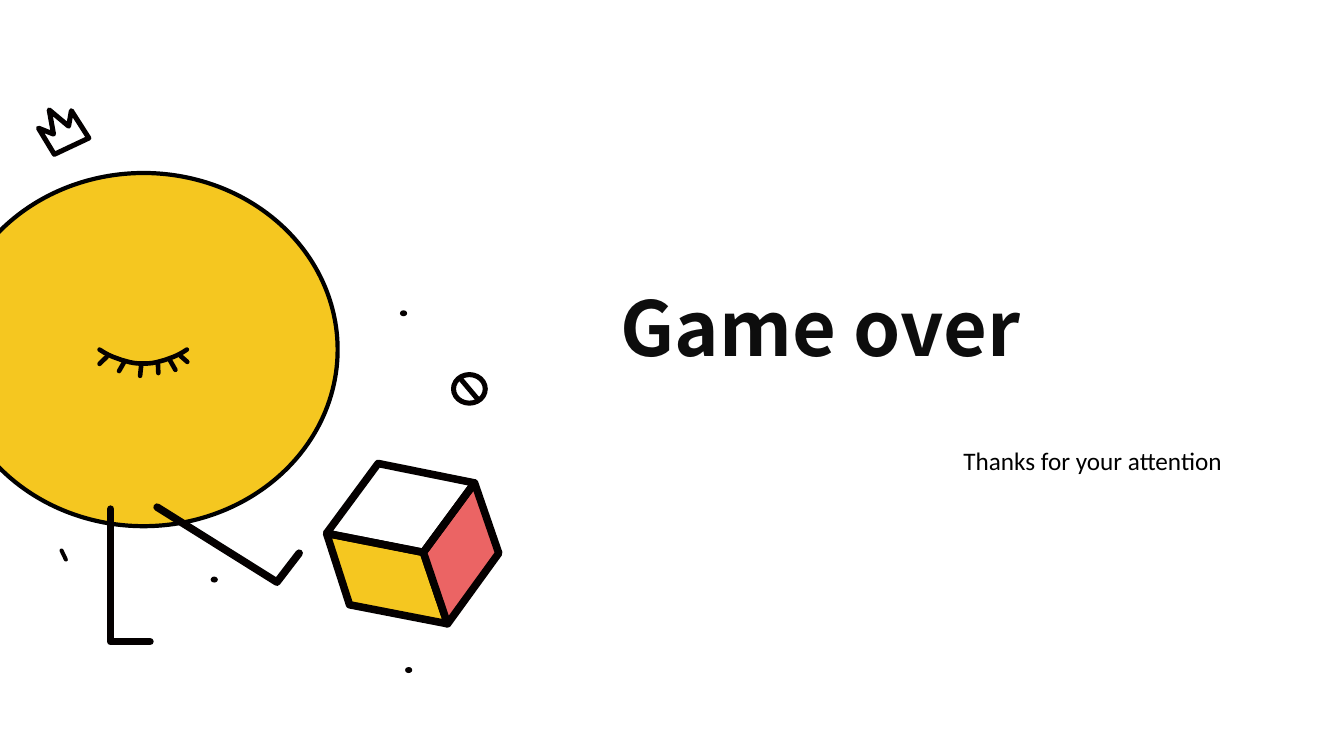
import pptx
import pptx.dml.color
import pptx.enum.shapes
import pptx.enum.text
import pptx.oxml.ns
import pptx.util
from lxml import etree

Cm = pptx.util.Cm
rgb = pptx.dml.color.RGBColor.from_string
qn = pptx.oxml.ns.qn
OVAL = pptx.enum.shapes.MSO_SHAPE.OVAL
STRAIGHT = pptx.enum.shapes.MSO_CONNECTOR.STRAIGHT
ALIGN = pptx.enum.text.PP_ALIGN
INK, YELLOW, CORAL = "040000", "F5C720", "EB6464"


def style(sp, width=0, fill=None, line=INK):
    """Set fill and a round-ended outline, with no shadow; width 0 means no outline."""
    if hasattr(sp, "fill"):
        if fill:
            sp.fill.solid()
            sp.fill.fore_color.rgb = rgb(fill)
        else:
            sp.fill.background()
    if width:
        sp.line.width = pptx.util.Pt(width)
        sp.line.color.rgb = rgb(line)
        ln = sp.element.spPr.find(qn("a:ln"))
        ln.set("cap", "rnd")
        etree.SubElement(ln, qn("a:round"))
    else:
        sp.line.fill.background()
    etree.SubElement(sp.element.spPr, qn("a:effectLst"))


def set_text(sp, text, box, font, size, color, bold=False, align=ALIGN.LEFT, spacing=1.0):
    sp.left, sp.top, sp.width, sp.height = [Cm(v) for v in box]
    tf = sp.text_frame
    tf.word_wrap = True
    tf.auto_size = pptx.enum.text.MSO_AUTO_SIZE.NONE
    tf.vertical_anchor = pptx.enum.text.MSO_ANCHOR.TOP
    p = tf.paragraphs[0]
    p.alignment = align
    p.line_spacing = spacing
    p.space_before = pptx.util.Pt(0)
    r = p.add_run()
    r.text = text
    r.font.name = font
    r.font.size = pptx.util.Pt(size)
    r.font.bold = bold
    r.font.color.rgb = rgb(color)


prs = pptx.Presentation()
prs.slide_width, prs.slide_height = Cm(33.87), Cm(19.05)
s = prs.slides.add_slide(prs.slide_layouts[5])

# Ovals: left, top, width, height in cm, outline, fill, outline colour
body = (-1.27, 4.36, 9.78, 8.9, 3, YELLOW, "000000")
ring = (11.43, 9.44, 0.8, 0.72, 3.6, None, INK)
dots = [(x, y, 0.18, 0.15, 0, INK, INK)
        for x, y in [(10.08, 7.82), (10.21, 16.81), (5.31, 14.53)]]
for x, y, w, h, width, fill, line in [body, ring, *dots]:
    sp = s.shapes.add_shape(OVAL, Cm(x), Cm(y), Cm(w), Cm(h))
    style(sp, width, fill, line)

# Outlines: points in cm, closed, outline, fill
cube_left, cube_back, cube_right, cube_mid = (8.23, 13.44), (9.53, 11.68), (11.96, 12.17), (10.67, 13.92)
cube_far, cube_bottom, cube_low_left = (12.57, 13.94), (11.28, 15.72), (8.81, 15.24)
crown = [(1.37, 3.89), (0.97, 3.23), (1.35, 3.38), (1.24, 2.77),
         (1.73, 3.18), (1.8, 2.79), (2.24, 3.48)]
eyelid = [(3.61 + 1.1 * t / 10, 9.16 - 0.35 * (t / 10) ** 2) for t in range(-10, 11)]
straight_leg = [(3.78, 16.17), (2.79, 16.17), (2.79, 12.83)]
bent_leg = [(7.54, 13.94), (6.98, 14.67), (3.96, 12.78)]
for points, closed, width, fill in [
    ([cube_left, cube_low_left, cube_bottom, cube_mid], True, 5.4, YELLOW),
    ([cube_right, cube_mid, cube_bottom, cube_far], True, 5.4, CORAL),
    ([cube_left, cube_back, cube_right, cube_mid], True, 5.4, None),
    (crown, True, 3.6, None),
    (eyelid, False, 3.3, None),
    (straight_leg, False, 5.4, None),
    (bent_leg, False, 5.4, None),
]:
    points = [(round(x * 100), round(y * 100)) for x, y in points]
    builder = s.shapes.build_freeform(*points[0], scale=Cm(0.01))
    builder.add_line_segments(points[1:], close=closed)
    style(builder.convert_to_shape(), width, fill)

# Straight strokes: start and end in cm, width
lashes = [(2.69, 8.99, 2.51, 9.17), (3.12, 9.14, 3, 9.35), (3.56, 9.19, 3.53, 9.47),
          (3.98, 9.17, 3.99, 9.4), (4.29, 9.09, 4.42, 9.32), (4.55, 8.97, 4.72, 9.12)]
ring_slash = (11.61, 9.55, 12.04, 10.06)
tick = (1.55, 13.87, 1.66, 14.1)
for ends, width in [*((lash, 3.3) for lash in lashes), (ring_slash, 3.6), (tick, 2.9)]:
    style(s.shapes.add_connector(STRAIGHT, *[Cm(v) for v in ends]), width)

set_text(s.shapes.title, "Game over", (15.39, 6.96, 13.51, 2.57), "Noto Sans CJK JP", 54,
         "0D0D0D", bold=True, align=ALIGN.JUSTIFY)
set_text(s.shapes.add_textbox(0, 0, 0, 0), "Thanks for your attention",
         (24.03, 10.95, 7.21, 1.12), "Calibri", 18, "000000", spacing=1.2)

prs.save("out.pptx")
